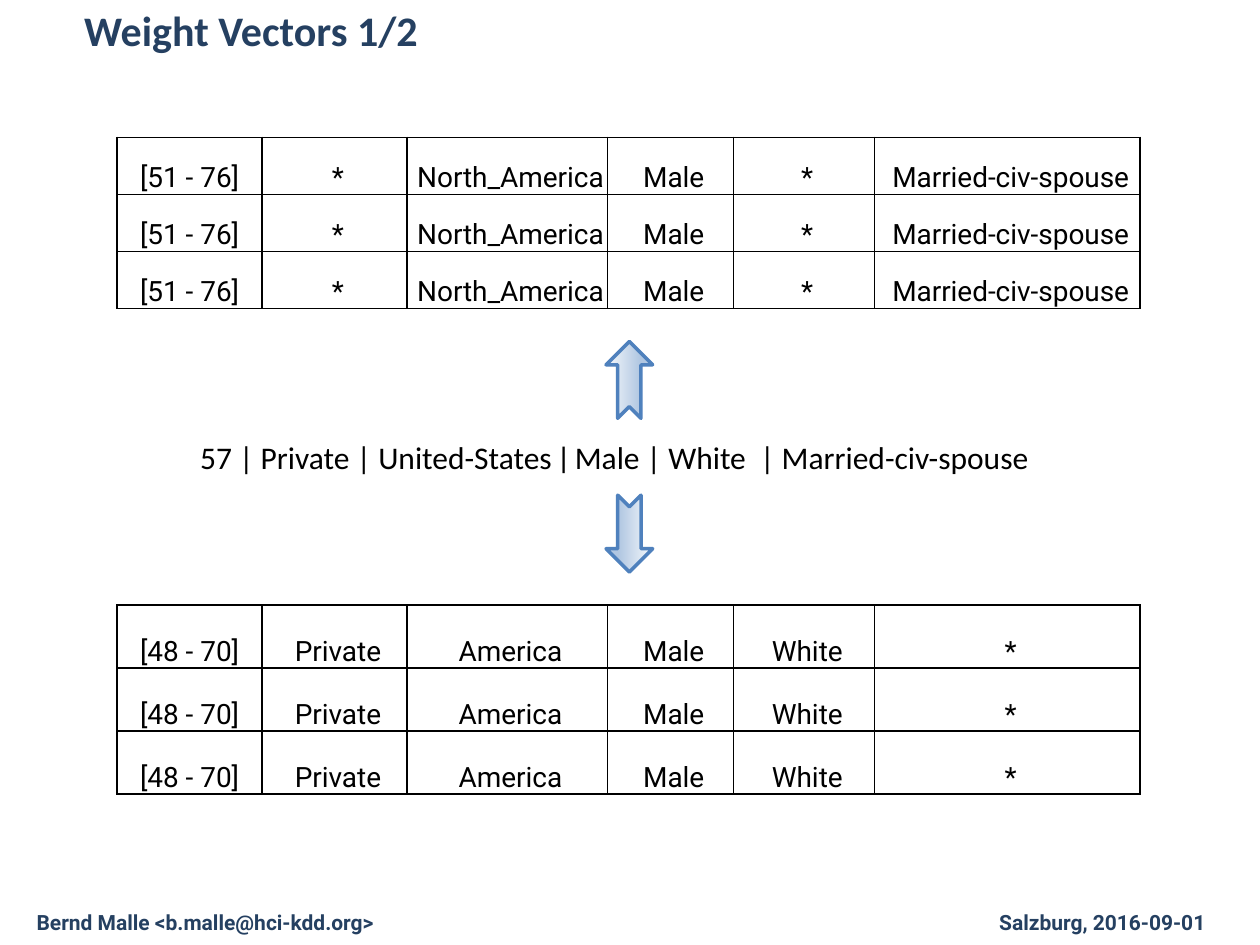
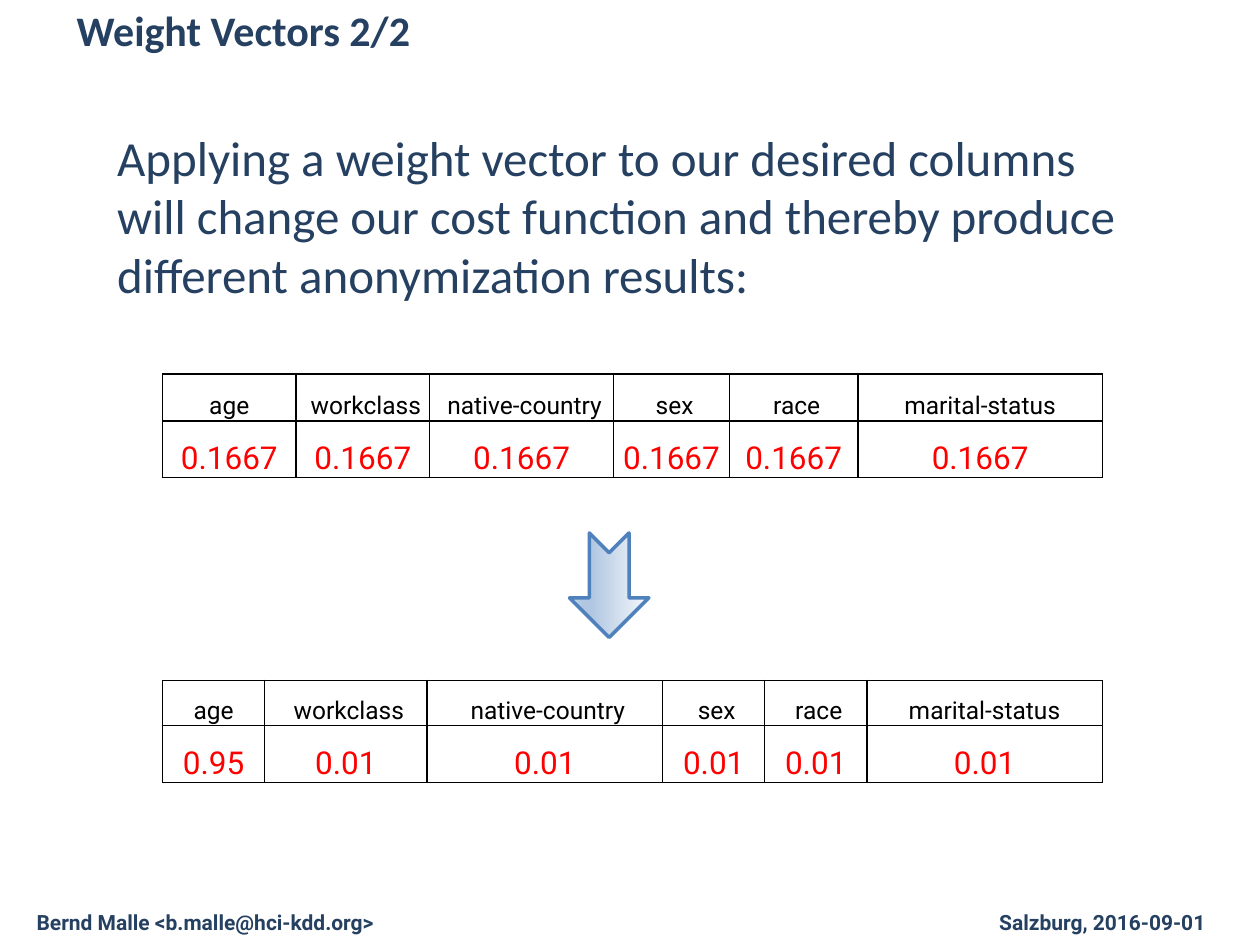
from lxml.etree import SubElement
from pptx import Presentation
from pptx.dml.color import RGBColor
from pptx.enum.shapes import MSO_SHAPE
from pptx.enum.text import MSO_ANCHOR, PP_ALIGN
from pptx.oxml import parse_xml
from pptx.oxml.ns import nsdecls, qn
from pptx.util import Inches, Pt

NAVY = RGBColor(0x25, 0x40, 0x61)
BLACK = RGBColor(0x00, 0x00, 0x00)
RED = RGBColor(0xFF, 0x00, 0x00)
ARROW_BLUE = RGBColor(0x4F, 0x81, 0xBD)
ARROW_STOPS = [
    (0, RGBColor(0xF6, 0xF9, 0xFC)),
    (74, RGBColor(0xB0, 0xC6, 0xE1)),
    (83, RGBColor(0xB0, 0xC6, 0xE1)),
    (100, RGBColor(0xCA, 0xD9, 0xEB)),
]

# Text formats
TITLE = {"name": "Calibri", "size": Pt(24), "bold": True, "color": NAVY}
FOOTER = {"name": "Roboto", "size": Pt(12), "bold": True, "color": NAVY}
BODY = {"name": "Calibri", "size": Pt(28), "color": NAVY}
RECORD = {"name": "Calibri", "size": Pt(18), "color": BLACK}
RECORD_BAR = RECORD | {"name": "Roboto"}
DATA = {"name": "Roboto", "size": Pt(16), "color": BLACK}
COLUMN_NAME = DATA | {"size": Pt(14)}
WEIGHT = DATA | {"size": Pt(18), "color": RED}


def write_run(paragraph, text, text_format):
    run = paragraph.add_run()
    run.text = text
    for attribute, value in text_format.items():
        if attribute == "color":
            run.font.color.rgb = value
        else:
            setattr(run.font, attribute, value)


def add_text(slide, box, runs, inset=0.05):
    shape = slide.shapes.add_textbox(*map(Inches, box))
    frame = shape.text_frame
    frame.word_wrap = True
    frame.margin_left = frame.margin_right = Inches(inset)
    for text, text_format in runs:
        write_run(frame.paragraphs[0], text, text_format)


presentation = Presentation()
presentation.slide_width = Inches(10)
presentation.slide_height = Inches(7.5)
blank_layout = presentation.slide_layouts[6]

# Slides with footers and titles
slides = []
for title, left in [("Weight Vectors 1/2", 0.57), ("Weight Vectors 2/2", 0.51)]:
    slide = presentation.slides.add_slide(blank_layout)
    add_text(slide, (0.24, 7.17, 3.02, 0.3), [("Bernd Malle <b.malle@hci-kdd.org>", FOOTER)])
    add_text(slide, (7.88, 7.17, 1.91, 0.3), [("Salzburg, 2016-09-01", FOOTER)])
    add_text(slide, (left, -0.01, 8, 0.47), [(title, TITLE)], inset=0.1)
    slides.append(slide)
results_slide, weights_slide = slides

# Record that both results generalize
add_text(results_slide, (1.49, 3.43, 7, 0.4), [
    ("57 | Private | United-States", RECORD),
    (" |", RECORD_BAR),
    (" Male | White  | Married-civ-spouse", RECORD),
], inset=0.1)

# Explanation of the weights
add_text(weights_slide, (0.88, 0.96, 8.27, 1.51), [
    ("Applying a weight vector to our desired columns will change our cost function "
     "and thereby produce different anonymization results:", BODY),
])

# Tables: slide, left, top, column widths, row heights, rows, row formats
result_columns = [1.15, 1.15, 1.59, 1, 1.12, 2.11]
equal_columns = [1.06, 1.06, 1.46, 0.92, 1.02, 1.94]
age_columns = [0.81, 1.29, 1.87, 0.81, 0.81, 1.87]
country_result = ["[51 - 76]", " *", " North_America", " Male", " *", " Married-civ-spouse"]
work_result = ["[48 - 70]", " Private", " America", " Male", " White", " *"]
column_names = ["age", " workclass", " native-country", " sex", " race", " marital-status "]
equal_weights = ["0.1667"] * 6
age_weights = ["0.95"] + ["0.01"] * 5
weight_formats = [COLUMN_NAME, WEIGHT]

tables = [
    (results_slide, 0.93, 1.09, result_columns, [1.36 / 3] * 3, [country_result] * 3, [DATA] * 3),
    (results_slide, 0.93, 4.8, result_columns, [0.5] * 3, [work_result] * 3, [DATA] * 3),
    (weights_slide, 1.29, 2.97, equal_columns, [0.37, 0.45],
     [column_names, equal_weights], weight_formats),
    (weights_slide, 1.29, 5.4, age_columns, [0.36, 0.45],
     [column_names, age_weights], weight_formats),
]
cell_format = {
    "vertical_anchor": MSO_ANCHOR.BOTTOM,
    "margin_left": Inches(0.01),
    "margin_right": Inches(0.01),
    "margin_top": Inches(0.01),
    "margin_bottom": 0,
}
for slide, left, top, widths, heights, rows, row_formats in tables:
    table = slide.shapes.add_table(
        len(heights), len(widths), Inches(left), Inches(top),
        Inches(sum(widths)), Inches(sum(heights))).table
    table.first_row = table.horz_banding = False
    for column, width in zip(table.columns, widths):
        column.width = Inches(width)
    for row, height, texts, text_format in zip(table.rows, heights, rows, row_formats):
        row.height = Inches(height)
        for cell, text in zip(row.cells, texts):
            for attribute, value in cell_format.items():
                setattr(cell, attribute, value)
            paragraph = cell.text_frame.paragraphs[0]
            paragraph.alignment = PP_ALIGN.CENTER
            write_run(paragraph, text, text_format)
            # Borders go before the fill
            cell_properties = cell._tc.get_or_add_tcPr()
            for side in ("lnL", "lnR", "lnT", "lnB"):
                cell_properties.append(parse_xml(
                    f'<a:{side} {nsdecls("a")} w="{Pt(1)}"><a:solidFill>'
                    f'<a:srgbClr val="{BLACK}"/></a:solidFill></a:{side}>'))
            cell.fill.background()

# Notched arrows: slide, box before rotation, rotation
arrows = [
    (results_slide, (4.69, 2.83, 0.61, 0.37), 270),
    (results_slide, (4.69, 4.05, 0.61, 0.37), 90),
    (weights_slide, (4.42, 4.33, 0.83, 0.63), 90),
]
for slide, box, rotation in arrows:
    arrow = slide.shapes.add_shape(MSO_SHAPE.NOTCHED_RIGHT_ARROW, *map(Inches, box))
    arrow.rotation = rotation
    arrow.shadow.inherit = False
    arrow.line.color.rgb = ARROW_BLUE
    arrow.line.width = Pt(2)
    arrow.fill.gradient()
    arrow.fill.gradient_angle = 270
    stop_list = arrow._element.spPr.find(".//" + qn("a:gsLst"))
    for stop in list(stop_list):
        stop_list.remove(stop)
    for position, color in ARROW_STOPS:
        stop = SubElement(stop_list, qn("a:gs"), pos=str(position * 1000))
        SubElement(stop, qn("a:srgbClr"), val=str(color))

presentation.save("out.pptx")
